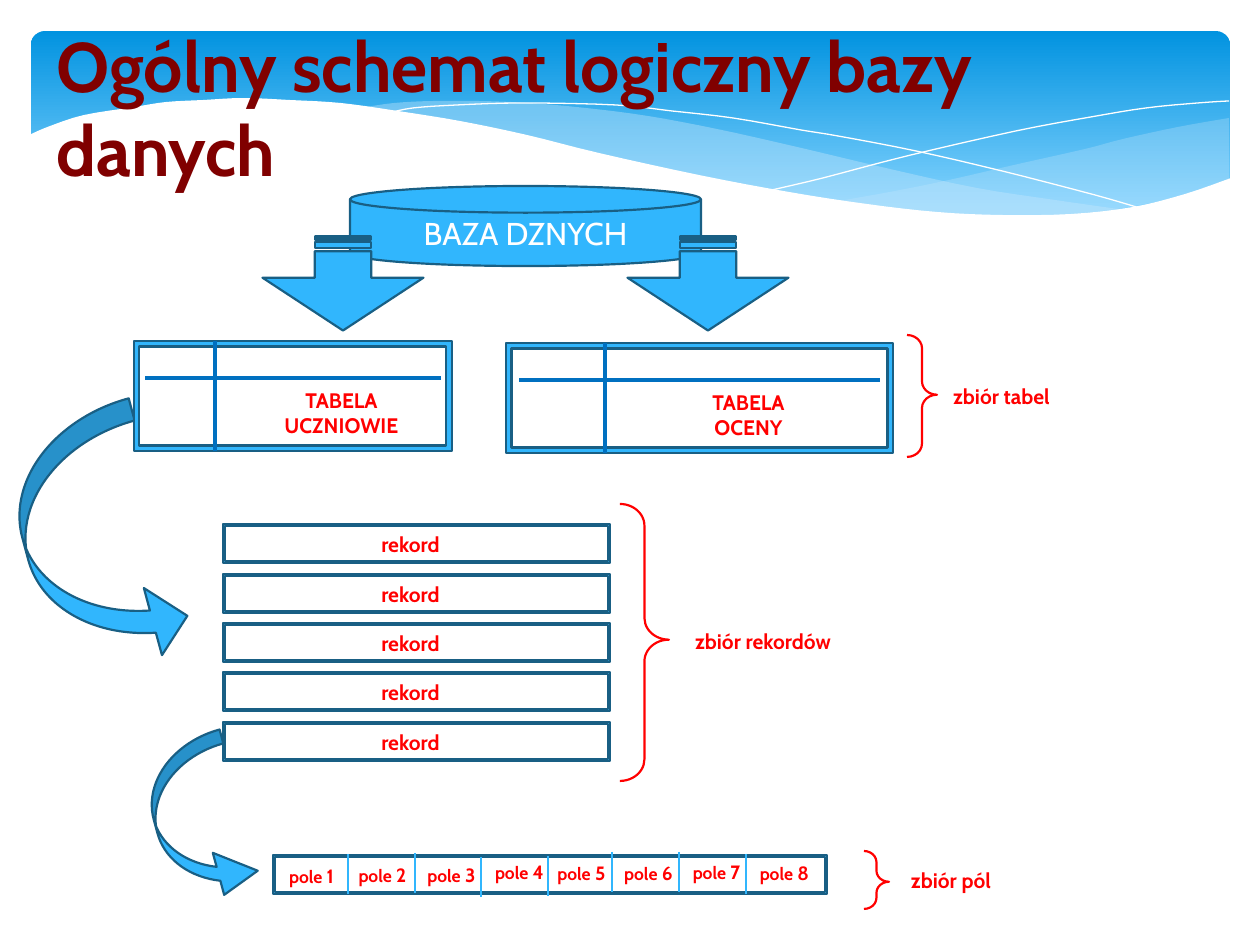
from pptx import Presentation
from pptx.dml.color import RGBColor
from pptx.enum.shapes import MSO_CONNECTOR, MSO_SHAPE as Kind
from pptx.enum.text import MSO_ANCHOR, MSO_AUTO_SIZE, PP_ALIGN
from pptx.oxml.ns import qn
from pptx.util import Pt
from lxml.etree import SubElement

PX = 914400 / 126
WHITE = RGBColor(0xFF, 0xFF, 0xFF)
RED = RGBColor(0xFF, 0x00, 0x00)
MAROON = RGBColor(0x80, 0x00, 0x00)
SKY = RGBColor(0x31, 0xB6, 0xFD)
NAVY = RGBColor(0x19, 0x5F, 0x84)
BLUE = RGBColor(0x00, 0x70, 0xC0)
MIST = RGBColor(0xC6, 0xE7, 0xFC)
BANNER_TOP = RGBColor(0x02, 0x93, 0xE0)
BANNER_END = RGBColor(0x83, 0xD3, 0xFE)

# Guide points of the banner waves
PALE_WAVE = [
    [(1229, 118), (1178, 127), (1123, 139), (1085, 149), (1014, 165), (949, 180),
     (890, 192), (833, 202)],
    [(833, 202), (888, 208), (954, 214), (1026, 217), (1063, 215), (1110, 210),
     (1140, 205), (1178, 197), (1229, 179)]]
LONG_WAVE = [
    [(1125, 210), (1055, 200), (977, 188), (890, 169), (793, 146), (717, 129),
     (648, 116), (586, 108), (529, 103), (479, 101), (433, 101), (394, 103), (360, 108)],
    [(360, 108), (431, 118), (509, 134), (566, 146), (668, 170), (757, 189),
     (838, 203), (912, 211), (989, 217), (1043, 218), (1093, 216), (1125, 210)]]
FALLING_LINE = [
    [(389, 113), (413, 108), (457, 105), (524, 103), (616, 105), (672, 111), (733, 118),
     (801, 130), (838, 136), (916, 151), (1002, 171), (1095, 195), (1143, 209)]]
RISING_LINE = [
    [(772, 190), (823, 178), (907, 156), (1016, 131), (1091, 117), (1146, 108),
     (1198, 103), (1229, 101)]]
WHITE_WAVE = [
    [(1231, 178), (1185, 194), (1133, 207), (1071, 214), (1002, 215), (937, 212),
     (867, 204), (789, 192), (699, 175), (599, 153), (527, 135), (460, 121), (398, 111),
     (341, 103), (290, 100), (243, 98), (203, 100), (166, 102), (134, 107), (84, 115),
     (50, 126), (29, 135)],
    [(29, 282), (1231, 282)]]


def emu(*lengths):
    return [round(length * PX) for length in lengths]


def smooth(points, steps=4):
    """Pass a Catmull-Rom curve through the points."""
    if len(points) < 3:
        return points
    padded = [points[0], *points, points[-1]]
    result = [points[0]]
    for a, b, c, d in zip(padded, padded[1:], padded[2:], padded[3:]):
        for step in range(1, steps + 1):
            t = step / steps
            result.append(tuple(
                (2 * q + (r - p) * t + (2 * p - 5 * q + 4 * r - s) * t ** 2
                 + (3 * q - p - 3 * r + s) * t ** 3) / 2
                for p, q, r, s in zip(a, b, c, d)))
    return result


class Painter:
    font = "Cabin"
    outline = 1.25

    def __init__(self, page):
        self.page = page

    def paint(self, shape, fill, line, width):
        shape.shadow.inherit = False
        if fill is None:
            shape.fill.background()
        else:
            shape.fill.solid()
            shape.fill.fore_color.rgb = fill
        if line is None:
            shape.line.fill.background()
        else:
            shape.line.color.rgb = line
            shape.line.width = Pt(width)

    def shape(self, kind, box, adjust=(), fill=SKY, line=NAVY, turn=0):
        shape = self.page.shapes.add_shape(kind, *emu(*box))
        for index, value in enumerate(adjust):
            shape.adjustments[index] = value
        self.paint(shape, fill, line, self.outline)
        shape.rotation = turn
        return shape

    def curve(self, parts, fill=None, line=None, opacity=100):
        points = [emu(*point) for part in parts for point in smooth(part)]
        builder = self.page.shapes.build_freeform(*points[0])
        builder.add_line_segments(points[1:], close=fill is not None)
        shape = builder.convert_to_shape()
        self.paint(shape, fill, line, 0)
        if opacity < 100:
            color = shape._element.spPr.find(qn("a:solidFill"))[0]
            SubElement(color, qn("a:alpha"), val=str(opacity * 1000))

    def line(self, start, end, color, width):
        line = self.page.shapes.add_connector(
            MSO_CONNECTOR.STRAIGHT, *emu(*start, *end))
        line.line.color.rgb = color
        line.line.width = Pt(width)
        SubElement(line._element.spPr, qn("a:effectLst"))

    def style(self, span, size, color, bold):
        span.font.name = self.font
        span.font.size = Pt(size)
        span.font.color.rgb = color
        span.font.bold = bold

    def label(self, box, *pieces, color=RED, align=PP_ALIGN.CENTER):
        frame = self.page.shapes.add_textbox(*emu(*box)).text_frame
        frame.word_wrap = True
        frame.auto_size = MSO_AUTO_SIZE.SHAPE_TO_FIT_TEXT
        para = frame.paragraphs[0]
        para.alignment = align
        for text, size in pieces:
            if "\n" in text:
                para.text = text
            else:
                para.add_run().text = text
            for span in para.runs if "\n" in text else para.runs[-1:]:
                self.style(span, size, color, True)

    def table_sketch(self, box, divider, rule, label_box, text):
        left, top, width, height = box
        self.shape(Kind.FRAME, box, [0.05])
        self.line((divider, top), (divider, top + height), BLUE, 2)
        self.line((rule[1], top + 37), (rule[0], top + 37), BLUE, 2)
        self.label(label_box, (text, 12))

    def brace(self, box, middle, label_box, text):
        self.shape(Kind.RIGHT_BRACE, box, [0.443, middle], fill=None, line=RED)
        self.label(label_box, (text, 12))


def main():
    deck = Presentation()
    deck.slide_width, deck.slide_height = emu(1260, 945)
    page = deck.slides.add_slide(deck.slide_layouts[6])
    painter = Painter(page)

    # Banner with waves
    banner = painter.shape(Kind.ROUNDED_RECTANGLE, (31, 31, 1199, 197), [0.071], line=None)
    banner.fill.gradient()
    banner.fill.gradient_angle = 270
    stops = banner.fill.gradient_stops
    for stop, color, position in zip(stops, (BANNER_TOP, BANNER_END), (0, 0.9)):
        stop.color.rgb = color
        stop.position = position
    painter.curve(PALE_WAVE, fill=MIST, opacity=29)
    painter.curve(LONG_WAVE, fill=MIST, opacity=40)
    painter.curve(FALLING_LINE, line=WHITE)
    painter.curve(RISING_LINE, line=WHITE)
    painter.curve(WHITE_WAVE, fill=WHITE)

    # Title
    painter.label((44, 16, 1168, 97), ("Ogólny schemat logiczny bazy danych", 40),
                  color=MAROON, align=PP_ALIGN.LEFT)

    # Database and the arrows to its tables
    painter.shape(Kind.CURVED_RIGHT_ARROW, (26, 412, 139, 260), [0.165, 0.5, 0.25], turn=344.9)
    database = painter.shape(Kind.FLOWCHART_MAGNETIC_DISK, (350, 186, 351, 80))
    database.text_frame.text = "BAZA DZNYCH"
    database.text_frame.vertical_anchor = MSO_ANCHOR.MIDDLE
    para = database.text_frame.paragraphs[0]
    para.alignment = PP_ALIGN.CENTER
    painter.style(para.runs[0], 18, WHITE, False)
    for left in (296, 661):
        painter.shape(Kind.STRIPED_RIGHT_ARROW, (left, 203, 94, 161), [0.35, 0.562], turn=90)

    # Tables
    painter.table_sketch((134, 341, 318, 110), 215, (145, 441),
                         (233, 381, 217, 63), "TABELA\nUCZNIOWIE")
    painter.table_sketch((506, 343, 387, 110), 605, (519, 880),
                         (640, 383, 217, 63), "TABELA\nOCENY")
    painter.brace((907, 335, 30, 122), 0.49, (937, 377, 129, 38), "zbiór tabel")

    # Records
    for row in range(5):
        top = 524 + round(row * 49.5)
        painter.shape(Kind.FRAME, (223, top, 387, 39), [0.05])
        painter.label((302, top + 1, 217, 38), ("rekord", 12))
    painter.brace((620, 504, 49, 277), 0.49, (673, 622, 180, 38), "zbiór rekordów")

    # Fields of one record
    painter.shape(Kind.CURVED_RIGHT_ARROW, (156, 738, 87, 168), [0.165, 0.5, 0.444], turn=344.9)
    painter.shape(Kind.FRAME, (273, 855, 554, 39), [0.05])
    dividers = [(348, 854), (415, 853), (481, 857), (548, 856), (612, 852), (679, 852), (746, 854)]
    for x, top in dividers:
        painter.line((x, top), (x, top + 40), SKY, 0.75)
    fields = [(273, 858), (344, 857), (413, 857), (481, 854),
              (543, 855), (610, 855), (678, 854), (746, 855)]
    for number, (left, top) in enumerate(fields, 1):
        painter.label((left, top, 77, 37), ("pole", 10), (f" {number}", 11))
    painter.brace((864, 851, 25, 58), 0.531, (889, 861, 124, 38), "zbiór pól")

    deck.save("out.pptx")


if __name__ == "__main__":
    main()
